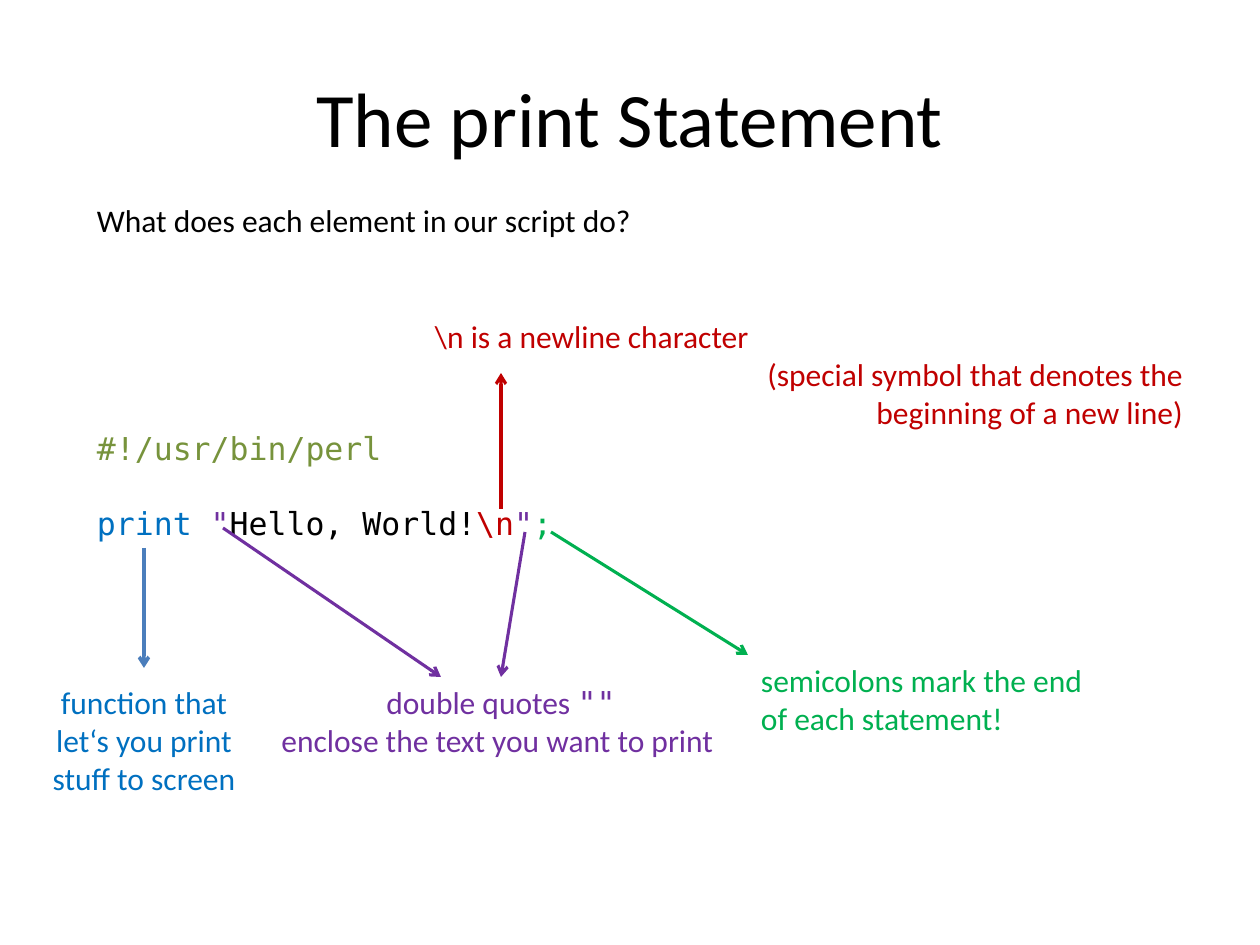
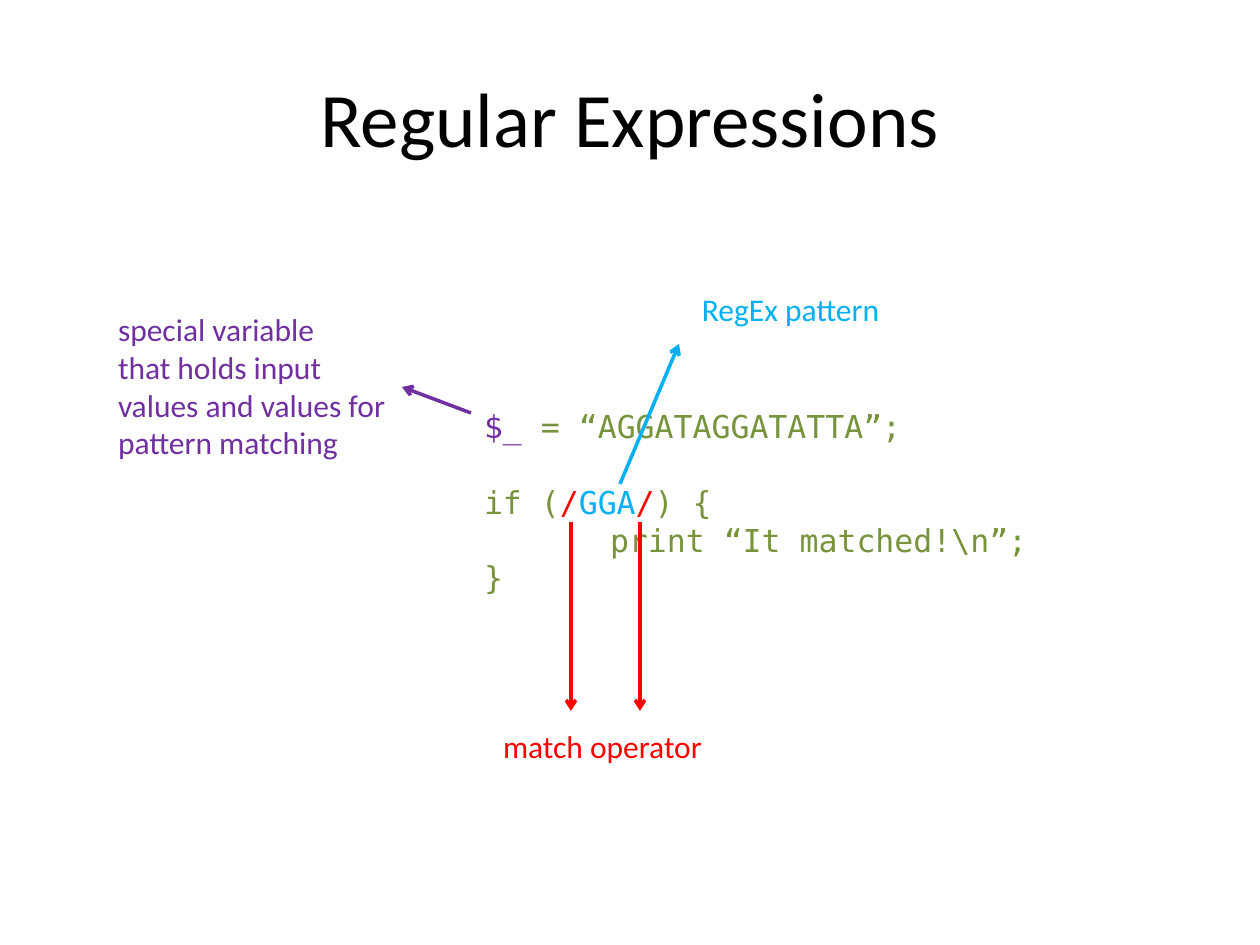
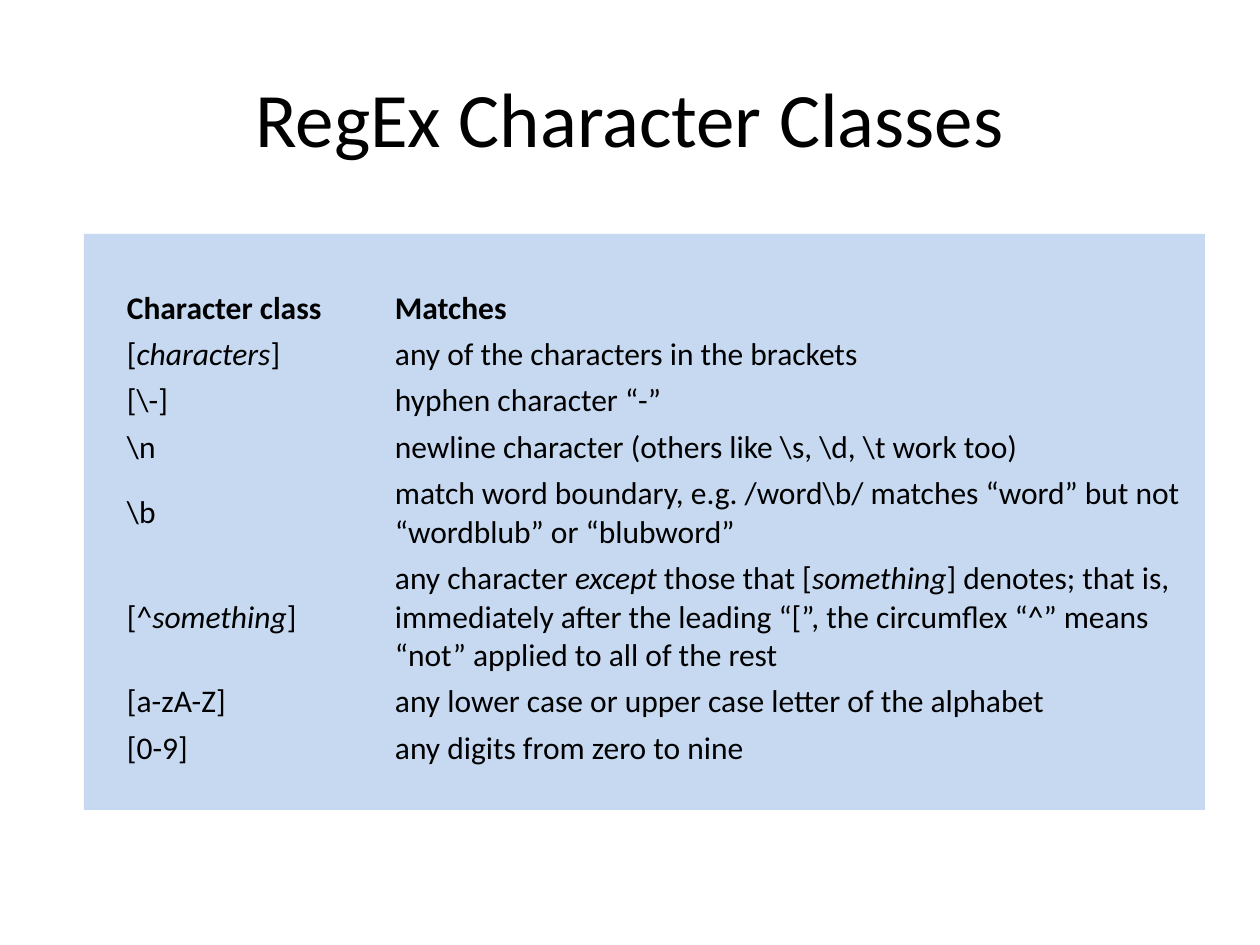
from lxml import etree
from pptx import Presentation
from pptx.dml.color import RGBColor
from pptx.enum.shapes import MSO_CONNECTOR, MSO_SHAPE
from pptx.enum.text import MSO_ANCHOR, MSO_AUTO_SIZE, PP_ALIGN
from pptx.oxml.ns import qn
from pptx.util import Pt

LEFT, CENTER, RIGHT = PP_ALIGN.LEFT, PP_ALIGN.CENTER, PP_ALIGN.RIGHT
TOP, MIDDLE = MSO_ANCHOR.TOP, MSO_ANCHOR.MIDDLE
STRAIGHT, RECTANGLE = MSO_CONNECTOR.STRAIGHT, MSO_SHAPE.RECTANGLE
GROW, FIXED = MSO_AUTO_SIZE.SHAPE_TO_FIT_TEXT, MSO_AUTO_SIZE.NONE

PX = 914400 // 126
TAB = 126                      # one tab stop, in pixels
LINE = 21.7                    # one line of body text, in points
BODY, MONO = "Calibri", "DejaVu Sans Mono"
NO_GRID = "{2D5ABB26-0587-4C30-8999-92F81FD0307C}"
COLORS = {
    "ink": "000000", "code": "77933C", "function": "0070C0",
    "function_arrow": "4B7EBC", "purple": "7030A0", "newline": "C00000",
    "semicolon": "00B050", "operator": "FF0000", "pattern": "00B0F0",
    "panel": "C6D9F1",
}

# Content: a paragraph is (runs, options), a run is (text, overrides) or text
ITALIC = {"italic": True}


def tint(color):
    return {"color": color}


SCRIPT_QUESTION = [("What does each element in our script do?", {})]
SCRIPT_CODE = [
    ([("#!/usr/bin/perl", {"font": MONO, "color": "code"})],
     {"before": 5 * LINE}),
    ([(text, {"font": MONO, "color": color}) for text, color in [
        ("print ", "function"), ('"', "purple"), ("Hello, World!", "ink"),
        ("\\n", "newline"), ('"', "purple"), (";", "semicolon")]],
     {"before": LINE}),
]
REGEX_CODE = [
    ([("$_ ", tint("purple")), "= “AGGATAGGATATTA”;"], {}),
    (["if (", ("/", tint("operator")), ("GGA", tint("pattern")),
      ("/", tint("operator")), ") {"], {"before": LINE}),
    ("print “It matched!\\n”;", {"indent": TAB}),
    ("}", {}),
]

# Boxes: (left, top, width, height), paragraphs, format
# Arrows: start, end, colour, width in points
ANNOTATED = [
    {
        "title": "The print Statement",
        "boxes": [
            ((84, 195, 1071, 471), SCRIPT_QUESTION + SCRIPT_CODE, {}),
            ((20, 677, 248, 127),
             [("function that let‘s you print stuff to screen", {})],
             {"color": "function", "align": CENTER}),
            ((253, 677, 496, 89),
             [(["double quotes ", ('""', {"font": MONO})], {}),
              ("enclose the text you want to print ", {})],
             {"color": "purple", "align": CENTER}),
            ((422, 311, 774, 127),
             [("\\n is a newline character", {}),
              ("(special symbol that denotes the beginning of a new line)",
               {"align": RIGHT, "indent": 2 * TAB})],
             {"color": "newline"}),
            ((748, 655, 348, 89),
             [("semicolons mark the end of each statement!", {})],
             {"color": "semicolon"}),
        ],
        "arrows": [
            ((144, 548), (144, 668), "function_arrow", 2),
            ((525, 532), (501, 677), "purple", 1.75),
            ((223, 528), (441, 677), "purple", 1.75),
            ((501, 509), (501, 373), "newline", 1.75),
            ((551, 532), (748, 655), "semicolon", 1.75),
        ],
    },
    {
        "title": "Regular Expressions",
        "boxes": [
            ((471, 363, 586, 242), REGEX_CODE,
             {"font": MONO, "color": "code", "insets": (13, 44, 13, 6)}),
            ((105, 304, 297, 165),
             [("special variable", {}),
              ("that holds input values and values for pattern matching", {})],
             {"color": "purple"}),
            ((466, 721, 273, 50), [("match operator", {})],
             {"color": "operator", "align": CENTER}),
            ((689, 284, 277, 50), [("RegEx pattern", {})],
             {"color": "pattern"}),
        ],
        "arrows": [
            ((471, 413), (402, 387), "purple", 2),
            ((571, 522), (571, 711), "operator", 2),
            ((640, 522), (640, 711), "operator", 2),
            ((620, 484), (679, 344), "pattern", 2),
        ],
    },
]

CLASSES_TITLE = "RegEx Character Classes"
# Class, what it matches, lines of text in the row
CLASSES = [
    ("Character class", "Matches", 1),
    (["[", ("characters", ITALIC), "]"],
     "any of the characters in the brackets", 1),
    ("[\\-]", "hyphen character\u00a0“-”", 1),
    ("\\n", "newline character (others like \\s, \\d, \\t work too)", 1),
    ("\\b", "match word boundary, e.g. /word\\b/ matches “word” but not "
     "“wordblub” or “blubword”", 2),
    (["[^", ("something", ITALIC), "]"],
     ["any character ", ("except", ITALIC), " those that [",
      ("something", ITALIC), "] denotes; that is, immediately after the "
      "leading “[”, the circumflex “^” means “not” applied to all of the "
      "rest"], 3),
    ("[a-zA-Z]", "any lower case or upper case letter of the alphabet", 1),
    ("[0-9]", "any digits from zero to nine", 1),
]
PANEL = (84, 234, 1121, 576)
CLASS_TABLE = (123, 285, 1074, 482)
CLASS_COLUMNS = (268, 806)
CELL_INSET = 4
ROW_LINE = 38


def rgb(color):
    return RGBColor.from_string(COLORS[color])


def emu(lengths):
    return [length * PX for length in lengths]


def write(frame, paragraphs, *, font=BODY, size=18, color="ink", bold=False,
          align=LEFT):
    """Fill a text frame; runs and paragraphs may override the format."""
    for i, (runs, options) in enumerate(paragraphs):
        para = frame.paragraphs[0] if i == 0 else frame.add_paragraph()
        para.alignment = options.get("align", align)
        para.space_before = Pt(options.get("before", 0))
        if "indent" in options:
            para._p.get_or_add_pPr().set("marL", str(options["indent"] * PX))
        for item in [runs] if isinstance(runs, str) else runs:
            text, own = (item, {}) if isinstance(item, str) else item
            run = para.add_run()
            run.text = text
            run.font.name = own.get("font", font)
            run.font.size = Pt(size)
            run.font.bold = bold
            run.font.italic = own.get("italic", False)
            run.font.color.rgb = rgb(own.get("color", color))


def add_text(slide, place, paragraphs, *, anchor=TOP, fit=GROW,
             insets=(13, 6, 13, 6), **text_format):
    frame = slide.shapes.add_textbox(*emu(place)).text_frame
    frame.word_wrap = True
    frame.auto_size = fit
    frame.vertical_anchor = anchor
    (frame.margin_left, frame.margin_top,
     frame.margin_right, frame.margin_bottom) = emu(insets)
    write(frame, paragraphs, **text_format)


def add_arrow(slide, start, end, color, width):
    arrow = slide.shapes.add_connector(STRAIGHT, *emu(start + end))
    arrow.line.color.rgb = rgb(color)
    arrow.line.width = Pt(width)
    etree.SubElement(arrow.line._get_or_add_ln(), qn("a:tailEnd"),
                     type="arrow")
    etree.SubElement(arrow.element.spPr, qn("a:effectLst"))


def add_panel(slide, place):
    panel = slide.shapes.add_shape(RECTANGLE, *emu(place))
    panel.shadow.inherit = False
    panel.fill.solid()
    panel.fill.fore_color.rgb = rgb("panel")
    panel.line.fill.background()


def add_class_table(slide):
    holder = slide.shapes.add_table(len(CLASSES), len(CLASS_COLUMNS),
                                    *emu(CLASS_TABLE))
    table = holder.table
    table.first_row = table.horz_banding = False
    next(holder.element.iter(qn("a:tableStyleId"))).text = NO_GRID
    for column, width in zip(table.columns, CLASS_COLUMNS):
        column.width = width * PX
    for r, (*texts, lines) in enumerate(CLASSES):
        table.rows[r].height = (lines * ROW_LINE + 2 * CELL_INSET) * PX
        for c, text in enumerate(texts):
            cell = table.cell(r, c)
            cell.fill.background()
            cell.vertical_anchor = MIDDLE
            cell.margin_left = cell.margin_right = CELL_INSET * PX
            cell.margin_top = cell.margin_bottom = CELL_INSET * PX
            write(cell.text_frame, [(text, {})], bold=r == 0)


def add_title(slide, title):
    add_text(slide, (63, 38, 1134, 158), [(title, {})], size=44,
             align=CENTER, anchor=MIDDLE, fit=FIXED)


deck = Presentation()
deck.slide_width, deck.slide_height = emu((1260, 945))
blank = deck.slide_layouts[6]

# Annotated code slides
for page in ANNOTATED:
    slide = deck.slides.add_slide(blank)
    add_title(slide, page["title"])
    for place, paragraphs, text_format in page["boxes"]:
        add_text(slide, place, paragraphs, **text_format)
    for arrow in page["arrows"]:
        add_arrow(slide, *arrow)

# Character class table
slide = deck.slides.add_slide(blank)
add_panel(slide, PANEL)
add_title(slide, CLASSES_TITLE)
add_class_table(slide)

deck.save("out.pptx")
